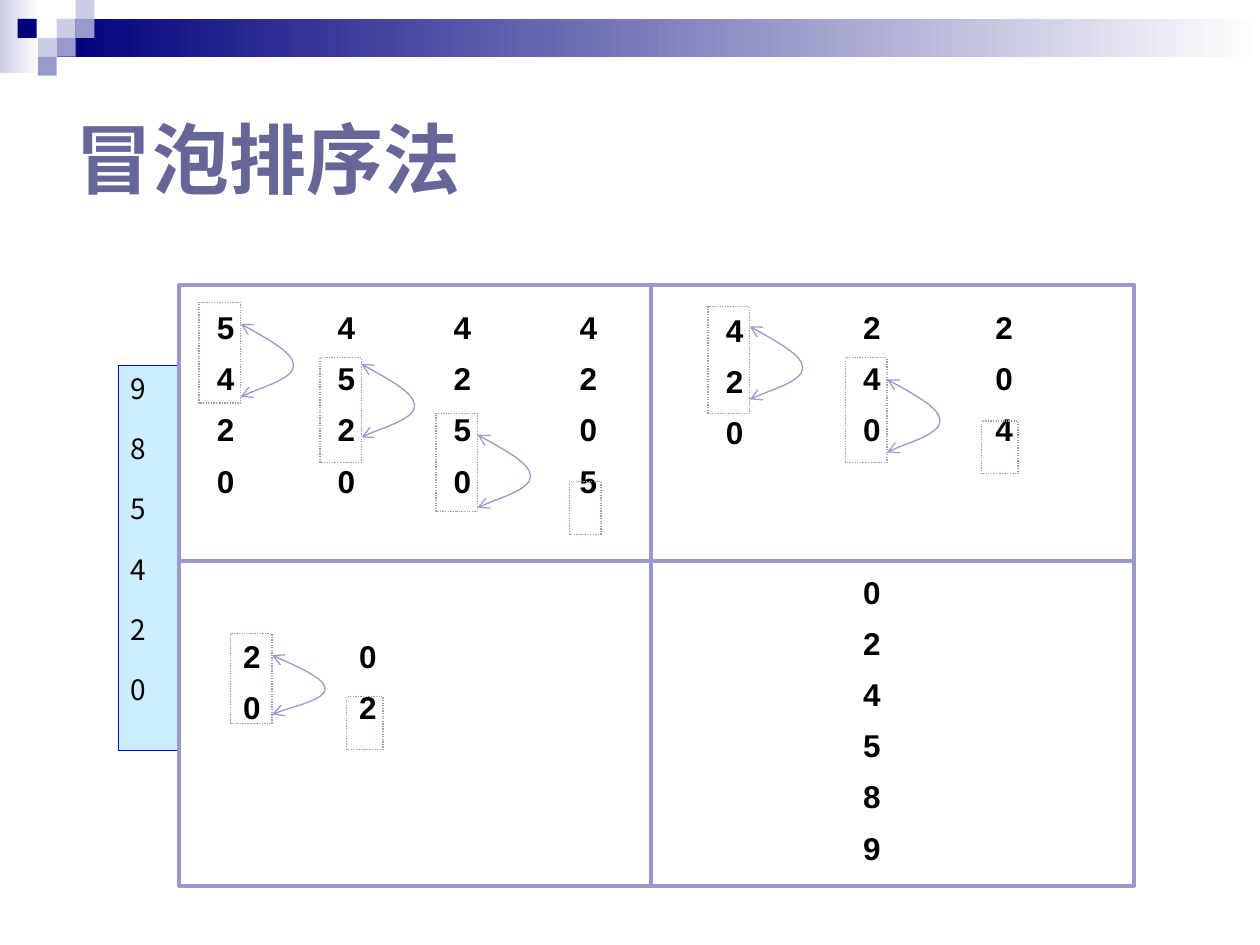
from lxml.etree import SubElement as add_sub
from pptx import Presentation
from pptx.dml.color import RGBColor as RGB
from pptx.enum.dml import MSO_LINE as Dash
from pptx.enum.shapes import MSO_CONNECTOR as Link, MSO_SHAPE as Form
from pptx.enum.text import MSO_ANCHOR as Anchor, PP_ALIGN as Align
from pptx.oxml.ns import qn
from pptx.util import Inches, Pt

# The slide is a grid of 100 columns by 75 rows.
COLS, ROWS = 100, 75
UNIT = Inches(0.1)
TILE = 1.5

COLORS = {
    "navy": "00007D", "blue": "0000E4", "lilac": "9999CC", "pale": "CCCCE6",
    "title": "666699", "sky": "CCECFF", "white": "FFFFFF", "black": "000000",
}
# Mosaic tiles: left, row of tiles, color
TILES = [
    (4.5, 1, "pale"), (6, 0, "pale"), (6, 1, "lilac"), (3, 2, "pale"),
    (1.4, 1, "navy"), (4.5, 2, "lilac"), (3, 3, "lilac"),
]
# Steps of the sort: digits, text (left, top, width), mark (left, top,
# width, height), swap arc (top, height)
STEPS = [
    ("5420", (15.4, 24.3, 5), (15.8, 24, 3.3, 8), (25.7, 5.8)),
    ("4520", (25, 24.3, 5), (25.4, 28.4, 3.3, 8.3), (28.9, 5.8)),
    ("4250", (34.2, 24.3, 5), (34.6, 32.8, 3.3, 7.8), (34.5, 5.8)),
    ("4205", (44.2, 24.3, 5), (45.2, 38.2, 2.5, 4.2), None),
    ("420", (55.8, 24.5, 5), (56.2, 24.3, 3.3, 8.5), (25.9, 5.8)),
    ("240", (66.7, 24.3, 5), (67.1, 28.4, 3.3, 8.3), (30.1, 5.8)),
    ("204", (74.8, 24.3, 9.8), (77.9, 33.4, 2.9, 4.2), None),
    ("20", (17.5, 50.4, 5), (18.3, 50.3, 3.3, 7.1), (52, 4.7)),
    ("02", (26.7, 50.4, 5), (27.5, 55.3, 2.9, 4.2), None),
    ("024589", (66.7, 45.3, 5), None, None),
]
# Arc points, as shares of its width and height
ARC = [(0, 0), (0.5, 0.2), (1, 0.41), (1, 0.57), (1, 0.74), (0.17, 0.93), (0, 1)]
ARC_W = 4.2


def grid(*spans):
    return [round(span * UNIT) for span in spans]


def tint(name):
    return RGB.from_string(COLORS[name])


def stroke(line, name, width):
    line.color.rgb = tint(name)
    line.width = Pt(width)


def add_box(slide, area, fill=None, edge=None, width=0.75):
    """Add a rectangle; a pair of colors as fill makes a gradient."""
    box = slide.shapes.add_shape(Form.RECTANGLE, *grid(*area))
    box.shadow.inherit = False
    if isinstance(fill, tuple):
        box.fill.gradient()
        box.fill.gradient_angle = 0
        for stop, name in zip(box.fill.gradient_stops, fill):
            stop.color.rgb = tint(name)
    elif fill:
        box.fill.solid()
        box.fill.fore_color.rgb = tint(fill)
    else:
        box.fill.background()
    if edge:
        stroke(box.line, edge, width)
    else:
        box.line.fill.background()
    return box


def write(frame, lines, size, font="Arial", color="black", bold=True,
          align=Align.LEFT, lead=1, gap=0):
    frame.word_wrap = True
    frame.text = "\n".join(lines)
    for i, par in enumerate(frame.paragraphs):
        par.alignment = align
        par.line_spacing = lead
        par.space_before = Pt(gap if i else 0)
        for run in par.runs:
            run.font.name = font
            run.font.size = Pt(size)
            run.font.bold = bold
            run.font.color.rgb = tint(color)


def add_text(slide, area, lines, size, **style):
    box = slide.shapes.add_textbox(*grid(*area))
    write(box.text_frame, lines, size, **style)
    return box


def add_line(slide, start, end):
    line = slide.shapes.add_connector(Link.STRAIGHT, *grid(*start, *end))
    stroke(line.line, "lilac", 2.25)
    add_sub(line._element.spPr, qn("a:effectLst"))


def add_arc(slide, left, top, height):
    """Add a curve with two arrowheads: each three points become a Bezier."""
    points = [grid(left + x * ARC_W, top + y * height) for x, y in ARC]
    pen = slide.shapes.build_freeform(*points[0])
    pen.add_line_segments(points[1:], close=False)
    arc = pen.convert_to_shape()
    arc.shadow.inherit = False
    arc.fill.background()
    stroke(arc.line, "lilac", 0.75)
    track = arc._element.spPr.find(".//" + qn("a:path"))
    legs = track.findall(qn("a:lnTo"))
    for i in range(0, len(legs), 3):
        curve = add_sub(track, qn("a:cubicBezTo"))
        for leg in legs[i:i + 3]:
            curve.append(leg[0])
            track.remove(leg)
    for tip in ("a:headEnd", "a:tailEnd"):
        add_sub(arc.line._get_or_add_ln(), qn(tip), type="arrow")


def add_step(slide, digits, place, mark, swap):
    height = 4 * len(digits) + 2
    add_text(slide, (*place, height), digits, 18,
             align=Align.CENTER, lead=0.9, gap=9.8)
    if mark:
        box = add_box(slide, mark, edge="lilac")
        box.line.dash_style = Dash.ROUND_DOT
    if swap:
        add_arc(slide, mark[0] + mark[2], *swap)


def add_banner(slide):
    add_box(slide, (0, 0, 3.1, 5.8), ("pale", "white"))
    add_box(slide, (4.5, 1.5, 95.5, 3), ("navy", "white"))
    for left, row, name in TILES:
        add_box(slide, (left, row * TILE, TILE, TILE), name)


def add_board(slide):
    left, top, right, low = 14.2, 22.6, 90, 70.3
    add_box(slide, (left, top, right - left, low - top), "white", "lilac", 2.25)
    add_line(slide, (left, 44.5), (right, 44.5))
    add_line(slide, (51.7, top), (51.7, 52.6))
    add_line(slide, (51.7, 45.3), (51.7, low))


def main():
    deck = Presentation()
    deck.slide_width, deck.slide_height = grid(COLS, ROWS)
    slide = deck.slides.add_slide(deck.slide_layouts[6])
    add_banner(slide)
    title = add_text(slide, (5, 5, 90, 15), ["冒泡排序法"], 44, color="title")
    title.text_frame.vertical_anchor = Anchor.MIDDLE
    queue = add_box(slide, (9.4, 29, 4.7, 30.6), "sky", "blue")
    queue.text_frame.vertical_anchor = Anchor.TOP
    write(queue.text_frame, "985420", 16, "Noto Sans CJK SC", bold=False, gap=15.2)
    add_board(slide)
    for step in STEPS:
        add_step(slide, *step)
    deck.save("out.pptx")


if __name__ == "__main__":
    main()
